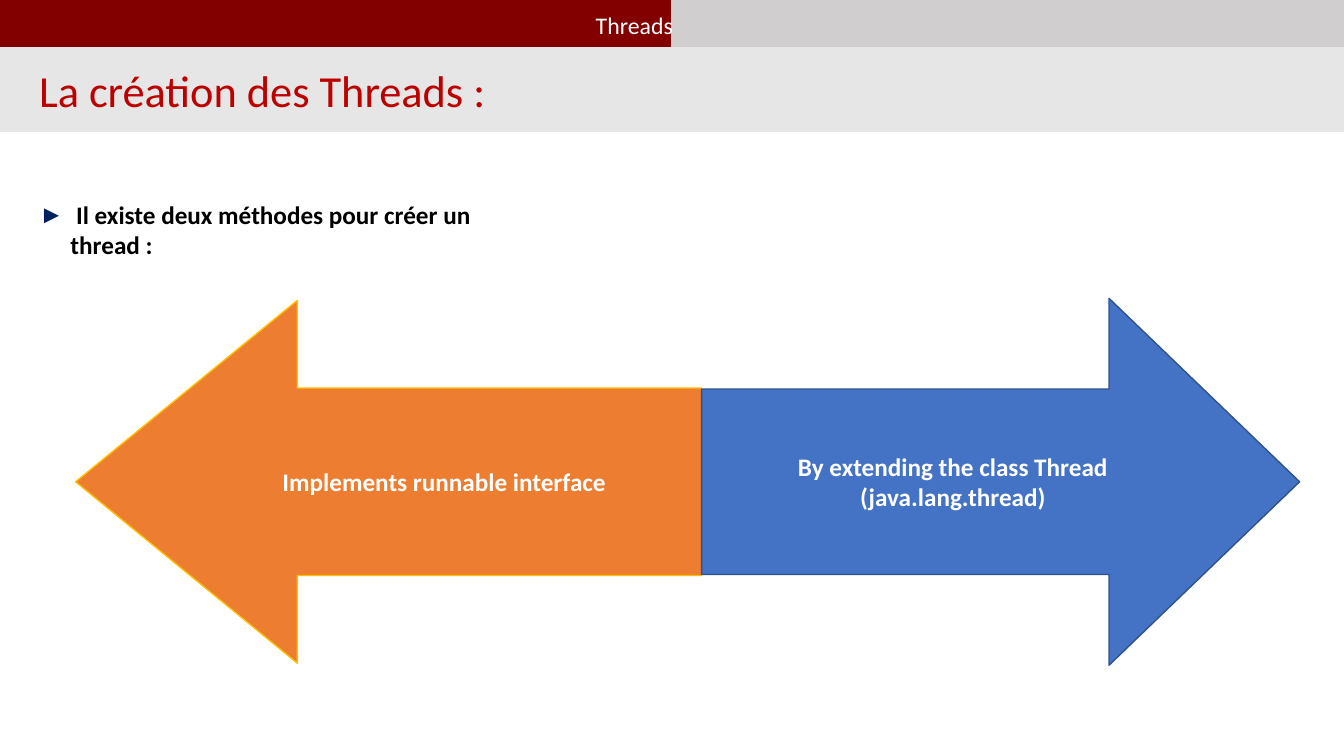
from lxml import etree
from pptx import Presentation
from pptx.dml.color import RGBColor
from pptx.enum import shapes, text
from pptx.oxml import ns
from pptx.util import Inches, Pt

DARK_RED = RGBColor(0x82, 0x00, 0x00)
TITLE_RED = RGBColor(0xBC, 0x00, 0x00)
MID_GREY = RGBColor(0xD0, 0xCE, 0xCE)
LIGHT_GREY = RGBColor(0xE7, 0xE6, 0xE6)
WHITE = RGBColor(0xFF, 0xFF, 0xFF)
BLACK = RGBColor(0x00, 0x00, 0x00)
NAVY = RGBColor(0x00, 0x20, 0x60)
ORANGE = RGBColor(0xED, 0x7D, 0x31)
GOLD = RGBColor(0xFF, 0xC0, 0x00)
BLUE = RGBColor(0x44, 0x72, 0xC4)
DARK_BLUE = RGBColor(0x2F, 0x52, 0x8F)

SLIDE_WIDTH = 13.33
HEADER_HEIGHT = 0.47
ARROW_BASE = 6.96
ARROW_MIDDLE = 4.78


def paint(shape, fill, line):
    shape.shadow.inherit = False
    shape.fill.solid()
    shape.fill.fore_color.rgb = fill
    shape.line.color.rgb = line
    shape.line.width = Pt(1)


def add_band(slide, left, top, width, height, color):
    band = slide.shapes.add_shape(
        shapes.MSO_SHAPE.RECTANGLE,
        Inches(left), Inches(top), Inches(width), Inches(height))
    paint(band, color, color)


def add_run(paragraph, words, size, color, bold=False):
    run = paragraph.add_run()
    run.text = words
    run.font.name = "Calibri"
    run.font.size = Pt(size)
    run.font.bold = bold
    run.font.color.rgb = color


def add_text(slide, left, top, width, height, words, size, color, bold=False):
    box = slide.shapes.add_textbox(
        Inches(left), Inches(top), Inches(width), Inches(height))
    frame = box.text_frame
    frame.word_wrap = True
    frame.auto_size = text.MSO_AUTO_SIZE.SHAPE_TO_FIT_TEXT
    add_run(frame.paragraphs[0], words, size, color, bold)
    return frame


def add_bullet(paragraph, symbol, color, indent):
    properties = paragraph._p.get_or_add_pPr()
    properties.set("marL", str(Inches(indent)))
    properties.set("indent", str(-Inches(indent)))
    bullet_color = etree.SubElement(properties, ns.qn("a:buClr"))
    etree.SubElement(bullet_color, ns.qn("a:srgbClr"), val=str(color))
    etree.SubElement(properties, ns.qn("a:buFont"), typeface="Arial")
    etree.SubElement(properties, ns.qn("a:buChar"), char=symbol)


def add_arrow(slide, shoulder, tip, half_shaft, half_head, fill, line, words):
    """Draw an arrow from the shared base, with its text kept off the tip."""
    upper = [(ARROW_BASE, -half_shaft), (shoulder, -half_shaft), (shoulder, -half_head)]
    lower = [(x, -offset) for x, offset in reversed(upper)]
    points = [(Inches(x), Inches(ARROW_MIDDLE + offset))
              for x, offset in upper + [(tip, 0)] + lower]
    builder = slide.shapes.build_freeform(*points[0])
    builder.add_line_segments(points[1:], close=True)
    arrow = builder.convert_to_shape()
    paint(arrow, fill, line)

    frame = arrow.text_frame
    frame.word_wrap = True
    frame.vertical_anchor = text.MSO_ANCHOR.MIDDLE
    tip_inset = Inches(0.1 + abs(shoulder - tip) / 2)
    if tip < ARROW_BASE:
        frame.margin_left = tip_inset
    else:
        frame.margin_right = tip_inset
    paragraph = frame.paragraphs[0]
    paragraph.alignment = text.PP_ALIGN.CENTER
    add_run(paragraph, words, 18, WHITE, bold=True)


def main():
    presentation = Presentation()
    presentation.slide_width = Inches(SLIDE_WIDTH)
    presentation.slide_height = Inches(7.5)
    slide = presentation.slides.add_slide(presentation.slide_layouts[6])

    # Header bands
    half = SLIDE_WIDTH / 2
    add_band(slide, 0, 0, half, HEADER_HEIGHT, DARK_RED)
    add_band(slide, half, 0, half, HEADER_HEIGHT, MID_GREY)
    add_band(slide, 0, HEADER_HEIGHT, SLIDE_WIDTH, 0.83, LIGHT_GREY)

    # Title and section name
    add_text(slide, 0.29, 0.58, 10.09, 0.64, "La création des Threads :", 31.7, TITLE_RED)
    add_text(slide, 5.81, 0.06, 2.1, 0.39, "Threads", 17, WHITE)

    # Introductory bullet
    intro = add_text(slide, 0.29, 1.93, 5.35, 0.4,
                     " Il existe deux méthodes pour créer un thread :", 18, BLACK, bold=True)
    intro.margin_right = Inches(0.5)
    add_bullet(intro.paragraphs[0], "►", NAVY, 0.31)

    # The two methods
    add_arrow(slide, 2.95, 0.75, 0.93, 1.8, ORANGE, GOLD,
              "Implements runnable interface")
    add_arrow(slide, 11, 12.89, 0.92, 1.82, BLUE, DARK_BLUE,
              "By extending the class Thread (java.lang.thread)")

    presentation.save("out.pptx")


if __name__ == "__main__":
    main()
